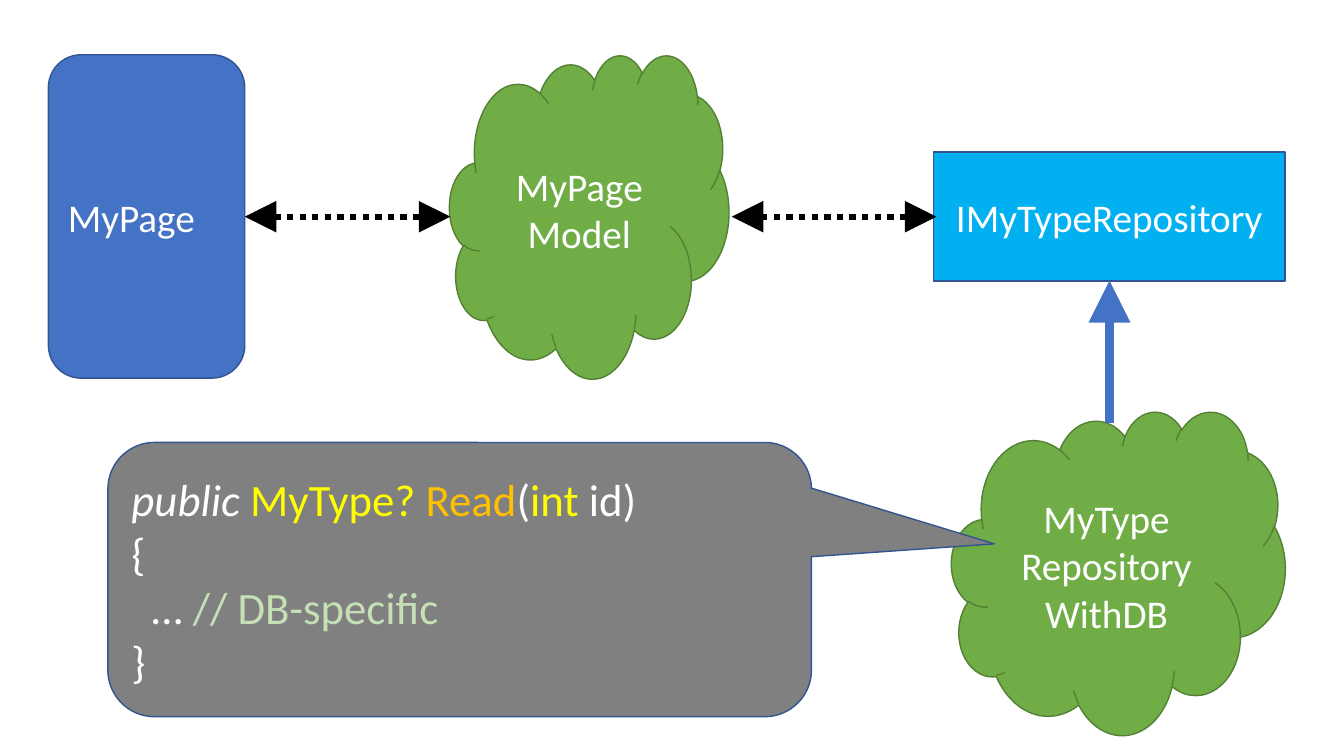
from dataclasses import dataclass
from typing import Optional

import pptx
import pptx.dml.color
import pptx.enum.dml
import pptx.enum.shapes
import pptx.enum.text
import pptx.oxml
import pptx.oxml.ns
import pptx.util

Cm = pptx.util.Cm
Pt = pptx.util.Pt
SHAPE = pptx.enum.shapes.MSO_SHAPE
ALIGN = pptx.enum.text.PP_ALIGN

FONT = "Calibri"
WHITE, BLACK = "FFFFFF", "000000"
BLUE, BLUE_EDGE = "4472C4", "325491"
GREEN, GREEN_EDGE = "70AD47", "538035"
SKY, GREY = "00B0F0", "808080"
YELLOW, ORANGE, PALE_GREEN = "FFFF00", "FFC000", "C5E0B4"


@dataclass(frozen=True)
class Span:
    text: str
    color: str = WHITE
    italic: bool = False


@dataclass(frozen=True)
class Line:
    spans: tuple[Span, ...]
    indent: float = 0


@dataclass(frozen=True)
class Node:
    """A labelled shape; box is left, top, width and height in cm."""
    kind: SHAPE
    box: tuple[float, float, float, float]
    fill: str
    edge: str
    lines: tuple[Line, ...]
    size: int = 28
    align: ALIGN = ALIGN.CENTER
    adjustments: tuple[float, ...] = ()


@dataclass(frozen=True)
class Arrow:
    start: tuple[float, float]
    end: tuple[float, float]
    color: str
    width: float
    heads: tuple[str, ...]
    dash: Optional[pptx.enum.dml.MSO_LINE] = None


def rgb(value: str) -> pptx.dml.color.RGBColor:
    return pptx.dml.color.RGBColor.from_string(value)


def label(*words: str) -> tuple[Line, ...]:
    """One plain white line for each word."""
    return tuple(Line((Span(word),)) for word in words)


def draw_node(slide: pptx.slide.Slide, node: Node) -> None:
    shape = slide.shapes.add_shape(node.kind, *map(Cm, node.box))
    shape.shadow.inherit = False
    for index, value in enumerate(node.adjustments):
        shape.adjustments[index] = value
    shape.fill.solid()
    shape.fill.fore_color.rgb = rgb(node.fill)
    shape.line.color.rgb = rgb(node.edge)
    shape.line.width = Pt(1)

    frame = shape.text_frame
    frame.word_wrap = True
    frame.vertical_anchor = pptx.enum.text.MSO_ANCHOR.MIDDLE
    for index, line in enumerate(node.lines):
        paragraph = frame.add_paragraph() if index else frame.paragraphs[0]
        paragraph.alignment = node.align
        if line.indent:
            paragraph._p.get_or_add_pPr().set("marL", str(Cm(line.indent)))
        for span in line.spans:
            run = paragraph.add_run()
            run.text = span.text
            run.font.name = FONT
            run.font.size = Pt(node.size)
            run.font.italic = span.italic
            run.font.color.rgb = rgb(span.color)


def draw_arrow(slide: pptx.slide.Slide, arrow: Arrow) -> None:
    connector = slide.shapes.add_connector(
        pptx.enum.shapes.MSO_CONNECTOR.STRAIGHT,
        *map(Cm, arrow.start + arrow.end))
    connector.line.color.rgb = rgb(arrow.color)
    connector.line.width = Pt(arrow.width)
    if arrow.dash is not None:
        connector.line.dash_style = arrow.dash
    namespace = pptx.oxml.ns.nsdecls("a")
    outline = connector.line._get_or_add_ln()
    for head in arrow.heads:
        outline.append(pptx.oxml.parse_xml(
            f'<a:{head} {namespace} type="triangle" w="lg" len="lg"/>'))
    connector._element.spPr.append(
        pptx.oxml.parse_xml(f"<a:effectLst {namespace}/>"))


def two_way(left: float, right: float) -> Arrow:
    y = 5.46
    return Arrow((left, y), (right, y), BLACK, 4.5, ("headEnd", "tailEnd"),
                 pptx.enum.dml.MSO_LINE.ROUND_DOT)


READ_METHOD = (
    Line((Span("public ", italic=True), Span("MyType? ", YELLOW),
          Span("Read", ORANGE), Span("("), Span("int", YELLOW),
          Span(" id)"))),
    Line((Span("{"),)),
    Line((Span("… "), Span("// DB-specific", PALE_GREEN)), indent=0.51),
    Line((Span("}"),)),
)

NODES = (
    Node(SHAPE.ROUNDED_RECTANGLE, (1.22, 1.38, 4.95, 8.15), BLUE, BLUE_EDGE,
         label("MyPage"), align=ALIGN.LEFT),
    Node(SHAPE.CLOUD, (11.33, 1.38, 7.04, 8.15), GREEN, GREEN_EDGE,
         label("MyPage", "Model")),
    Node(SHAPE.RECTANGLE, (23.52, 3.83, 8.87, 3.25), SKY, BLUE_EDGE,
         label("IMyTypeRepository")),
    Node(SHAPE.CLOUD, (23.98, 10.36, 8.41, 8.15), GREEN, GREEN_EDGE,
         label("MyType", "Repository", "WithDB")),
)

ARROWS = (
    Arrow((27.96, 10.67), (27.96, 7.07), BLUE, 6, ("tailEnd",)),
    two_way(6.17, 11.35),
    two_way(18.44, 23.6),
)

CODE_CALLOUT = Node(
    SHAPE.ROUNDED_RECTANGULAR_CALLOUT, (2.72, 11.15, 17.73, 6.91), GREY,
    BLUE_EDGE, READ_METHOD, size=32, align=ALIGN.LEFT,
    adjustments=(0.76, -0.13, 0.17))


def main() -> None:
    deck = pptx.Presentation()
    deck.slide_width, deck.slide_height = Cm(33.87), Cm(19.05)
    slide = deck.slides.add_slide(deck.slide_layouts[6])
    for node in NODES:
        draw_node(slide, node)
    for arrow in ARROWS:
        draw_arrow(slide, arrow)
    draw_node(slide, CODE_CALLOUT)
    deck.save("out.pptx")


if __name__ == "__main__":
    main()
